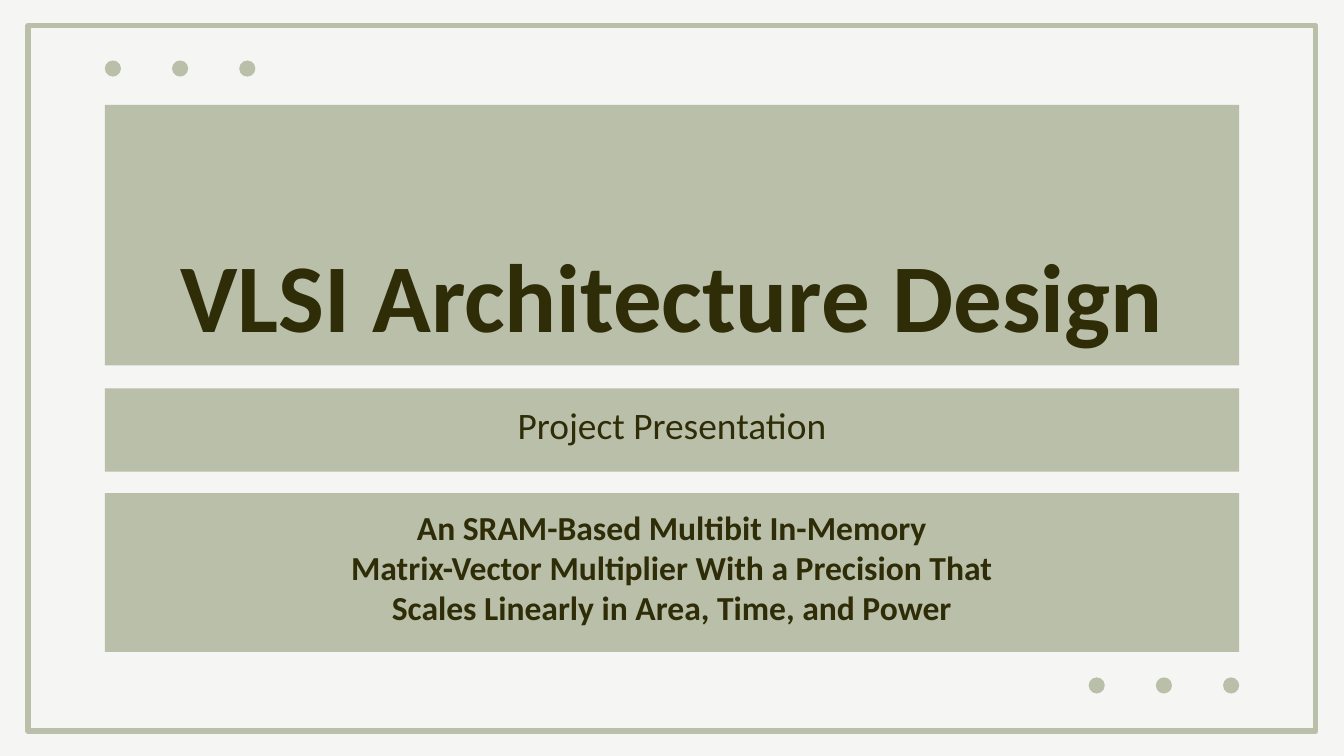
from pptx import Presentation
from pptx.dml.color import RGBColor
from pptx.enum.shapes import MSO_SHAPE
from pptx.enum.text import MSO_ANCHOR, PP_ALIGN
from pptx.util import Inches, Pt

RECTANGLE = MSO_SHAPE.RECTANGLE
OVAL = MSO_SHAPE.OVAL
TOP = MSO_ANCHOR.TOP
BOTTOM = MSO_ANCHOR.BOTTOM
CENTER = PP_ALIGN.CENTER

PAPER = RGBColor(0xF5, 0xF5, 0xF3)
SAGE = RGBColor(0xBA, 0xBF, 0xA9)
OLIVE = RGBColor(0x2F, 0x2D, 0x08)

FONT = "Calibri"
SLIDE_WIDTH = 10
SLIDE_HEIGHT = SLIDE_WIDTH * 9 / 16
PANEL_LEFT = 0.78
PANEL_WIDTH = 8.44
INSET = 0.1
DOT_SIZE = 0.12
DOT_STEP = 0.5
DOT_COUNT = 3


def add_block(slide, kind, left, top, width, height):
    block = slide.shapes.add_shape(
        kind, Inches(left), Inches(top), Inches(width), Inches(height)
    )
    block.shadow.inherit = False
    block.fill.solid()
    block.fill.fore_color.rgb = SAGE
    block.line.fill.background()
    return block


def add_frame(slide):
    frame = add_block(slide, RECTANGLE, 0.21, 0.19, 9.58, 5.25)
    frame.fill.background()
    frame.line.color.rgb = SAGE
    frame.line.width = Pt(3)


def add_dots(slide, left, top):
    for index in range(DOT_COUNT):
        add_block(slide, OVAL, left + index * DOT_STEP, top, DOT_SIZE, DOT_SIZE)


def write_text(block, lines, size, bold=False, anchor=TOP):
    body = block.text_frame
    body.word_wrap = True
    body.vertical_anchor = anchor
    body.margin_left = body.margin_right = Inches(INSET)
    body.margin_top = body.margin_bottom = Inches(INSET)
    body.text = "\n".join(lines)
    for paragraph in body.paragraphs:
        paragraph.alignment = CENTER
        paragraph.font.name = FONT
        paragraph.font.size = Pt(size)
        paragraph.font.bold = bold
        paragraph.font.color.rgb = OLIVE


def add_panel(slide, top, height, lines, **text_format):
    panel = add_block(slide, RECTANGLE, PANEL_LEFT, top, PANEL_WIDTH, height)
    write_text(panel, lines, **text_format)


def main():
    deck = Presentation()
    deck.slide_width = Inches(SLIDE_WIDTH)
    deck.slide_height = Inches(SLIDE_HEIGHT)
    slide = deck.slides.add_slide(deck.slide_layouts[6])
    slide.background.fill.solid()
    slide.background.fill.fore_color.rgb = PAPER

    add_frame(slide)
    add_panel(slide, 0.78, 1.94, ["VLSI Architecture Design"],
              size=52, bold=True, anchor=BOTTOM)
    add_panel(slide, 2.89, 0.62, ["Project Presentation"], size=20)
    add_dots(slide, PANEL_LEFT, 0.45)
    add_dots(slide, 8.1, 5.04)
    paper_title = [
        "An SRAM-Based Multibit In-Memory",
        "Matrix-Vector Multiplier With a Precision That",
        "Scales Linearly in Area, Time, and Power",
    ]
    add_panel(slide, 3.67, 1.18, paper_title, size=18, bold=True)

    deck.save("out.pptx")


if __name__ == "__main__":
    main()
